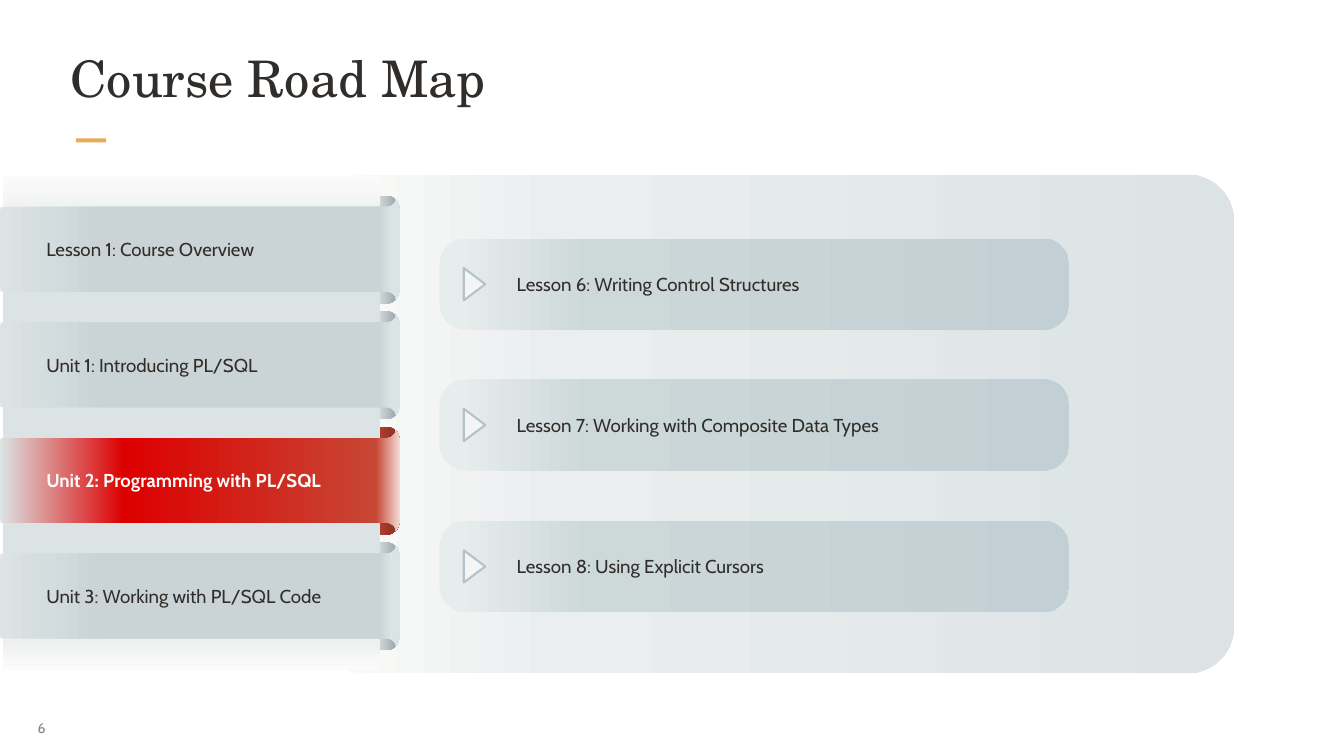
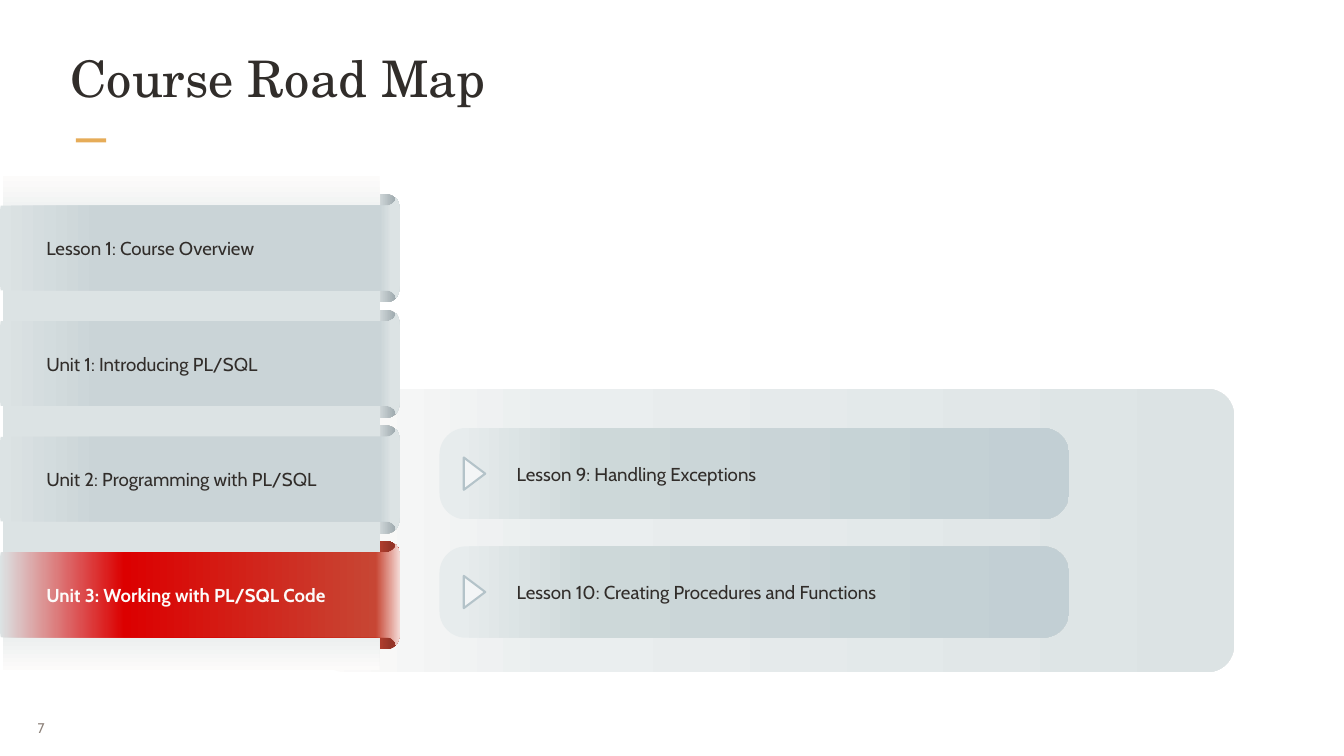
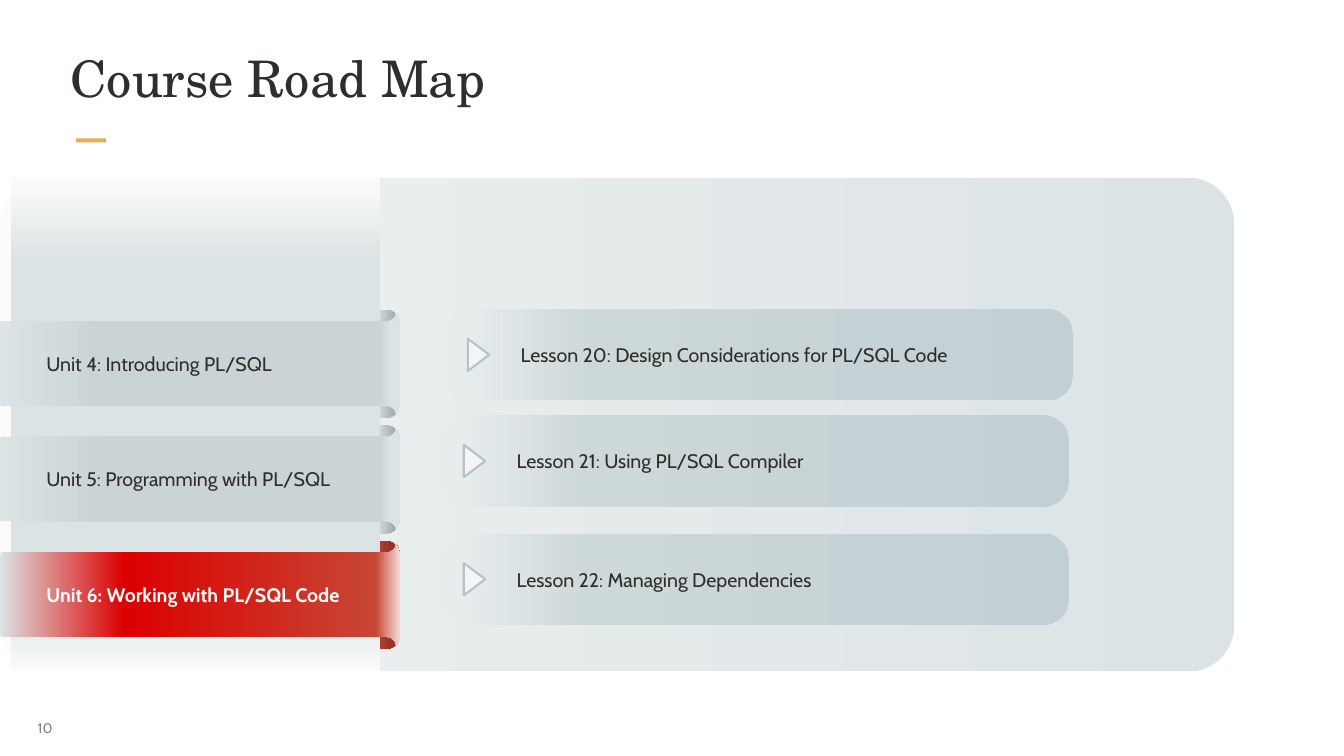
from lxml.etree import SubElement
from pptx import Presentation
from pptx.dml.color import RGBColor
from pptx.enum.shapes import MSO_SHAPE
from pptx.enum.text import MSO_ANCHOR, PP_ALIGN
from pptx.oxml.ns import qn
from pptx.util import Pt

INK = RGBColor(0x31, 0x2D, 0x2A)
PAPER = RGBColor(0xFC, 0xFB, 0xFA)
GOLD = RGBColor(0xE6, 0xAC, 0x58)
TAUPE = RGBColor(0x8B, 0x80, 0x78)
MIST = RGBColor(0xDC, 0xE3, 0xE4)
HAZE = RGBColor(0xEA, 0xEE, 0xEF)
FROST = RGBColor(0xE7, 0xEC, 0xED)
SAGE = RGBColor(0xCD, 0xD8, 0xD9)
STEEL = RGBColor(0xC2, 0xCF, 0xD4)
SLATE = RGBColor(0xCA, 0xD4, 0xD7)
PEARL = RGBColor(0xDE, 0xE4, 0xE5)
SHADE = RGBColor(0x96, 0xA2, 0xA7)
RED = RGBColor(0xDC, 0x00, 0x00)
BRICK = RGBColor(0xC7, 0x46, 0x34)
RUST = RGBColor(0x95, 0x34, 0x27)
BLUSH = RGBColor(0xF4, 0xDA, 0xD6)
ICE = RGBColor(0xF3, 0xF5, 0xF6)
EDGE = RGBColor(0xB4, 0xC3, 0xC9)

PANEL = [(0, PAPER), (26, HAZE), (100, MIST)]
STRIP = [(0, PAPER), (17, MIST), (87, MIST), (100, PAPER)]
PILL = [(3, FROST), (24, SAGE), (100, STEEL)]
TAB = [(0, MIST), (25, SLATE), (95, SLATE), (98, MIST)]
TAB_ON = [(0, MIST), (31, RED), (94, BRICK), (100, BLUSH)]
ROLL = [(77, PEARL), (99, SHADE)]
ROLL_ON = [(73, BRICK), (92, RUST)]

BODY, SERIF = "Cabin", "TeX Gyre Schola"
TAB_W, TAB_H, TAB_STEP = 428.4, 108, 123.84
PILL_W, PILL_H = 674.6, 97.9
LINE_H = 32


def write(slide, box, text, font=BODY, size=20, color=INK, bold=False,
          anchor=MSO_ANCHOR.MIDDLE, align=None, inset=(7.2, 3.6), wrap=True):
    """Add a text box in the given format."""
    frame = slide.shapes.add_textbox(*map(Pt, box)).text_frame
    frame.word_wrap = wrap
    frame.vertical_anchor = anchor
    frame.margin_left = frame.margin_right = Pt(inset[0])
    frame.margin_top = frame.margin_bottom = Pt(inset[1])
    para = frame.paragraphs[0]
    para.alignment = align
    run = para.add_run()
    run.text = text
    run.font.name, run.font.size, run.font.bold = font, Pt(size), bold
    run.font.color.rgb = color


def paint(shape, fill, down=False):
    """Fill a shape with one colour or with gradient stops, without line or shadow."""
    shape.shadow.inherit = False
    shape.line.fill.background()
    if isinstance(fill, RGBColor):
        shape.fill.solid()
        shape.fill.fore_color.rgb = fill
        return
    shape.fill.gradient()
    shape.fill.gradient_angle = 270 if down else 0
    stops = shape._element.spPr.find(qn("a:gradFill")).find(qn("a:gsLst"))
    for old in list(stops):
        stops.remove(old)
    for place, color in fill:
        stop = SubElement(stops, qn("a:gs"), pos=str(place * 1000))
        SubElement(stop, qn("a:srgbClr"), val=str(color))


def draw(slide, kind, box, fill, round=None, down=False):
    """Add a painted preset shape."""
    shape = slide.shapes.add_shape(kind, *map(Pt, box))
    if round is not None:
        shape.adjustments[0] = round
    paint(shape, fill, down)
    return shape


def curve(a, b, c, d, steps=6):
    """Return points along a cubic curve."""
    points = []
    for i in range(steps + 1):
        t = i / steps
        u = 1 - t
        points.append(tuple(u**3 * p + 3 * u * u * t * q + 3 * u * t * t * r + t**3 * s
                            for p, q, r, s in zip(a, b, c, d)))
    return points


def ribbon(slide, left, top, fill):
    """Add a tab whose right end flares up and down."""
    upper = [(0, 14.4), (0.72, 8.64)]
    upper += curve((414.72, 8.64), (418.32, 8.64), (421.2, 6.48), (423.36, 3.6))
    upper += curve((424.08, 0), (426.96, 3.6), (TAB_W, 8.64), (TAB_W, 14.4))
    lower = [(x, TAB_H - y) for x, y in reversed(upper)]
    points = [(Pt(left + x), Pt(top + y)) for x, y in upper + lower]
    pen = slide.shapes.build_freeform(*points[0])
    pen.add_line_segments(points[1:], close=True)
    paint(pen.convert_to_shape(), fill)


def frame(slide, number):
    """Add the title, its dash and the page number."""
    draw(slide, MSO_SHAPE.RECTANGLE, (81.4, 148.3, 32.4, 4.3), GOLD)
    write(slide, (31, 758.9, 46.8, 41.8), number, size=15, color=TAUPE,
          align=PP_ALIGN.JUSTIFY, inset=(9.4, 5), wrap=False)
    write(slide, (73.4, 48.2, 1293, 92.2), "Course Road Map", font=SERIF, size=54,
          anchor=MSO_ANCHOR.TOP, inset=(2.2, 2.2))


def menu(slide, strip, top, units, size):
    """Add the strip of unit tabs, the last open one in red."""
    rows = [(top + i * TAB_STEP, name, on) for i, (name, on) in enumerate(units)]
    for y, _, on in rows:
        draw(slide, MSO_SHAPE.ROUNDED_RECTANGLE, (314, y - 3.6, 113.8, 115.9),
             ROLL_ON if on else ROLL, round=0.126)
    draw(slide, MSO_SHAPE.RECTANGLE, strip, STRIP, down=True)
    for y, name, on in rows:
        ribbon(slide, 0, y, TAB_ON if on else TAB)
        write(slide, (42.5, y + (TAB_H - LINE_H) / 2, 366.5, LINE_H), name,
              size=size, color=PAPER if on else INK, bold=on)


def lesson(slide, left, top, name, size):
    """Add one lesson pill with its arrow and name."""
    draw(slide, MSO_SHAPE.ROUNDED_RECTANGLE, (left, top, PILL_W, PILL_H), PILL, round=0.289)
    mark = draw(slide, MSO_SHAPE.ISOSCELES_TRIANGLE,
                (left + 20.2, top + 37.4, 34.6, 23), ICE)
    mark.rotation = 90
    mark.line.color.rgb = EDGE
    mark.line.width = Pt(2.25)
    write(slide, (left + 75.6, top + (PILL_H - LINE_H) / 2, 550, LINE_H), name, size=size)


def roadmap(deck, number, panel, strip, top, units, lessons, size=20):
    """Add one road map slide."""
    slide = deck.slides.add_slide(deck.slide_layouts[6])
    frame(slide, number)
    draw(slide, MSO_SHAPE.ROUNDED_RECTANGLE, panel, PANEL, round=0.093)
    menu(slide, strip, top, units, size)
    for left, y, name in lessons:
        lesson(slide, left, y, name, size)


def main():
    """Build and save the deck."""
    deck = Presentation()
    deck.slide_width, deck.slide_height = Pt(1440), Pt(810)
    first = ["Lesson 1: Course Overview", "Unit 1: Introducing PL/SQL",
             "Unit 2: Programming with PL/SQL", "Unit 3: Working with PL/SQL Code"]
    last = ["Unit 4: Introducing PL/SQL", "Unit 5: Programming with PL/SQL",
            "Unit 6: Working with PL/SQL Code"]
    strip = (2.9, 188.6, 403.9, 529.2)
    roadmap(deck, "6", (340.6, 187.2, 981.4, 534.2), strip, 213.1,
            [(name, name == first[2]) for name in first],
            [(470.9, 255.6, "Lesson 6: Writing Control Structures"),
             (470.9, 406.4, "Lesson 7: Working with Composite Data Types"),
             (470.9, 558, "Lesson 8: Using Explicit Cursors")])
    roadmap(deck, "7", (340.6, 416.9, 981.4, 303.1), strip, 211.7,
            [(name, name == first[3]) for name in first],
            [(470.9, 458.6, "Lesson 9: Handling Exceptions"),
             (470.9, 585.4, "Lesson 10: Creating Procedures and Functions")])
    roadmap(deck, "10", (0, 190.8, 1321.9, 528.5), (11.5, 189.4, 396, 529.2), 335.5,
            [(name, name == last[2]) for name in last],
            [(475.2, 331.2, "Lesson 20: Design Considerations for PL/SQL Code"),
             (470.9, 445, "Lesson 21: Using PL/SQL Compiler"),
             (470.9, 571.7, "Lesson 22: Managing Dependencies")], size=21)
    deck.save("out.pptx")


if __name__ == "__main__":
    main()
